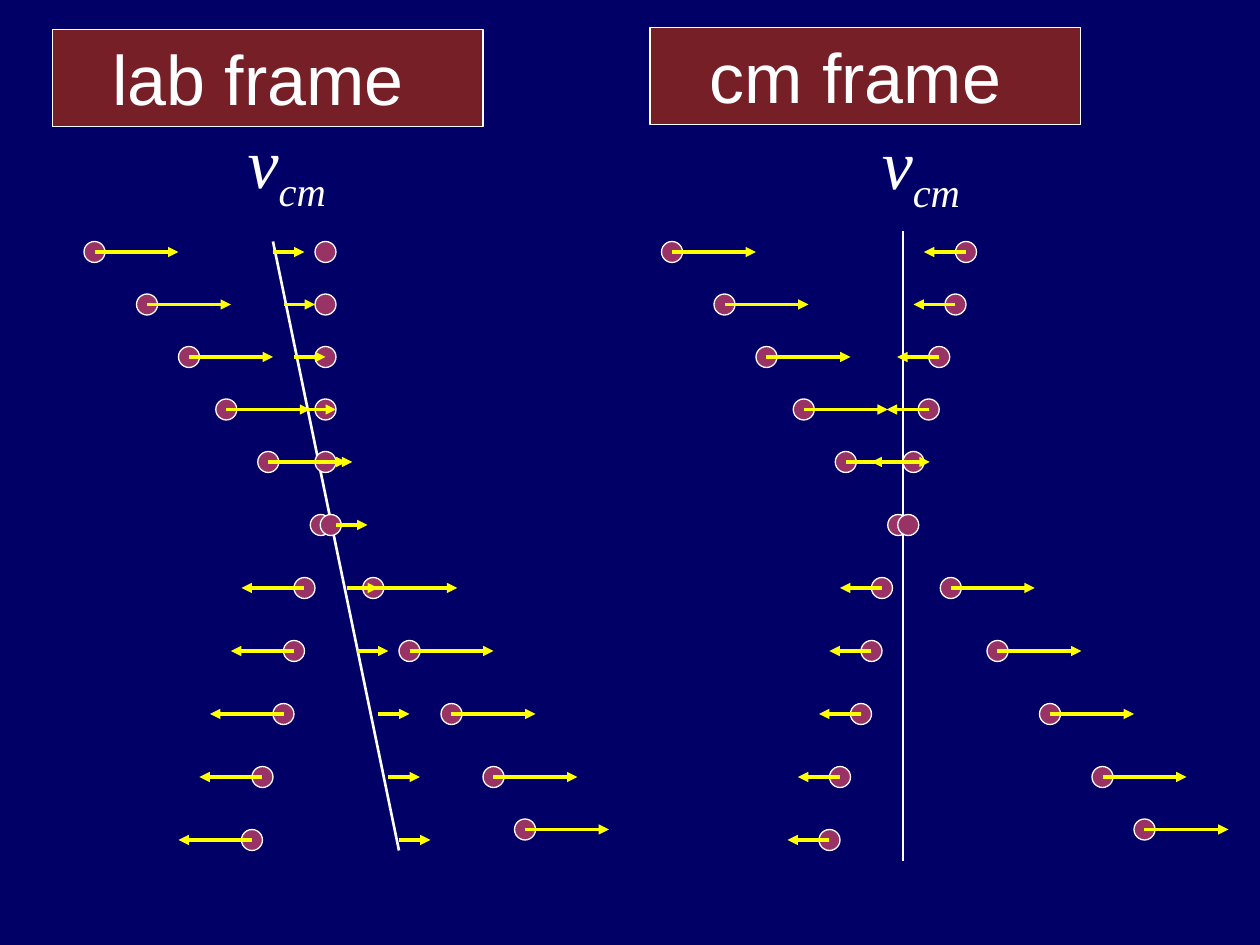
from dataclasses import dataclass
from typing import Optional

from lxml import etree
from pptx import Presentation
from pptx import util as u
from pptx.dml.color import RGBColor
from pptx.enum import shapes, text
from pptx.oxml.ns import qn

COLORS = {
    "background": "000066",
    "title": "771F27",
    "ball": "993366",
    "velocity": "FFFF00",
    "white": "FFFFFF",
}
CELLS_PER_INCH = 12  # the slide is a grid of 120 columns by 90 rows
COLUMNS, ROWS = 120, 90
BALL_SIZE = 2


@dataclass
class Ball:
    col: float
    row: float
    velocity: float = 0


@dataclass
class Frame:
    title: str
    title_at: tuple[float, float]
    label_at: tuple[float, float]
    axis: tuple[float, float, float, float]
    fast_cols: list[float]
    slow_cols: list[float]
    slow_velocities: list[float]
    cm_cols: list[float]


STEP_ROWS = [24, 29, 34, 39, 44, 50, 56, 62, 68, 74, 80]
FAST_ROWS = STEP_ROWS[:-1] + [79]
COLLISION = 5
FAST_VELOCITY, CM_VELOCITY = 8, 3

CM_FRAME = Frame(
    title="cm frame ", title_at=(61.9, 2.6), label_at=(82.8, 10.8),
    axis=(86, 22, 86, 82),
    fast_cols=[64, 69, 73, 76.55, 80.55, 85.55, 90.55, 95, 100, 105, 109],
    slow_cols=[92, 91, 89.45, 88.45, 87, 86.5, 84, 83, 82, 80, 79],
    slow_velocities=[-4] * 5 + [0] + [-4] * 5,
    cm_cols=[],
)
LAB_FRAME = Frame(
    title="lab frame ", title_at=(5, 2.8), label_at=(22.4, 10.7),
    axis=(26, 23, 38, 81),
    fast_cols=[9, 14, 18, 21.55, 25.55, 30.55, 35.55, 39, 43, 47, 50],
    slow_cols=[31] * 5 + [31.5, 29, 28, 27, 25, 24],
    slow_velocities=[0] * 6 + [-6, -6, -7, -6, -7],
    cm_cols=[26, 27, 28, 29, 30, 32, 33, 34, 36, 37, 38],
)


def cells(n: float) -> u.Length:
    return u.Inches(n / CELLS_PER_INCH)


def rgb(name: str) -> RGBColor:
    return RGBColor.from_string(COLORS[name])


def write_text(sp, runs: list[tuple[str, bool]], *, font: str, size: float = 40,
               italic: bool = False, align=text.PP_ALIGN.LEFT,
               wrap: bool = True) -> None:
    """Fill a shape with one paragraph of (wording, is_subscript) runs."""
    tf = sp.text_frame
    tf.word_wrap = wrap
    tf.vertical_anchor = text.MSO_ANCHOR.TOP
    p = tf.paragraphs[0]
    p.alignment = align
    for wording, is_subscript in runs:
        r = p.add_run()
        r.text = wording
        r.font.name, r.font.size, r.font.italic = font, u.Pt(size), italic
        r.font.color.rgb = rgb("white")
        if is_subscript:
            r.font._element.set("baseline", "-25000")


def draw_shape(parent, kind, box: tuple[float, float, float, float], fill: str):
    sp = parent.add_shape(kind, *map(cells, box))
    sp.shadow.inherit = False
    sp.fill.solid()
    sp.fill.fore_color.rgb = rgb(fill)
    sp.line.color.rgb = rgb("white")
    sp.line.width = u.Pt(0.75)
    return sp


def draw_line(parent, ends: tuple[float, float, float, float], color: str,
              width: float, arrow: bool = False) -> None:
    line = parent.add_connector(shapes.MSO_CONNECTOR.STRAIGHT, *map(cells, ends))
    line.line.color.rgb = rgb(color)
    line.line.width = u.Pt(width)
    sp_pr = line._element.spPr
    if arrow:
        etree.SubElement(sp_pr.find(qn("a:ln")), qn("a:tailEnd"), type="triangle")
    etree.SubElement(sp_pr, qn("a:effectLst"))


def draw_velocity(parent, col: float, row: float, velocity: float) -> None:
    if velocity:
        draw_line(parent, (col, row, col + velocity, row), "velocity", 1.75, arrow=True)


def draw_step(parent, balls: list[Ball]) -> None:
    for ball in balls:
        corner = (ball.col - BALL_SIZE / 2, ball.row - BALL_SIZE / 2)
        draw_shape(parent, shapes.MSO_SHAPE.OVAL, (*corner, BALL_SIZE, BALL_SIZE), "ball")
    for ball in balls:
        draw_velocity(parent, ball.col, ball.row, ball.velocity)


def draw_motion(s, frame: Frame) -> None:
    group = s.shapes.add_group_shape().shapes
    draw_line(group, frame.axis, "white", 1.5)
    for i, row in enumerate(STEP_ROWS):
        fast_velocity = 0 if i == COLLISION else FAST_VELOCITY
        draw_step(group, [
            Ball(frame.fast_cols[i], FAST_ROWS[i], fast_velocity),
            Ball(frame.slow_cols[i], row, frame.slow_velocities[i]),
        ])
    for col, row in zip(frame.cm_cols, STEP_ROWS):
        draw_velocity(group, col, row, CM_VELOCITY)
    label = group.add_textbox(*map(cells, (*frame.label_at, 10.3, 10.3)))
    write_text(label, [("v", False), ("cm", True)], font="Times New Roman",
               italic=True, wrap=False)


def draw_title(s, frame: Frame) -> None:
    sp = draw_shape(s.shapes, shapes.MSO_SHAPE.RECTANGLE,
                    (*frame.title_at, 41, 9.25), "title")
    write_text(sp, [(frame.title, False)], font="Arial", align=text.PP_ALIGN.CENTER)


def main() -> None:
    prs = Presentation()
    prs.slide_width, prs.slide_height = cells(COLUMNS), cells(ROWS)
    s = prs.slides.add_slide(prs.slide_layouts[6])
    s.background.fill.solid()
    s.background.fill.fore_color.rgb = rgb("background")
    for frame in (CM_FRAME, LAB_FRAME):
        draw_motion(s, frame)
    for frame in (LAB_FRAME, CM_FRAME):
        draw_title(s, frame)
    prs.save("out.pptx")


if __name__ == "__main__":
    main()
